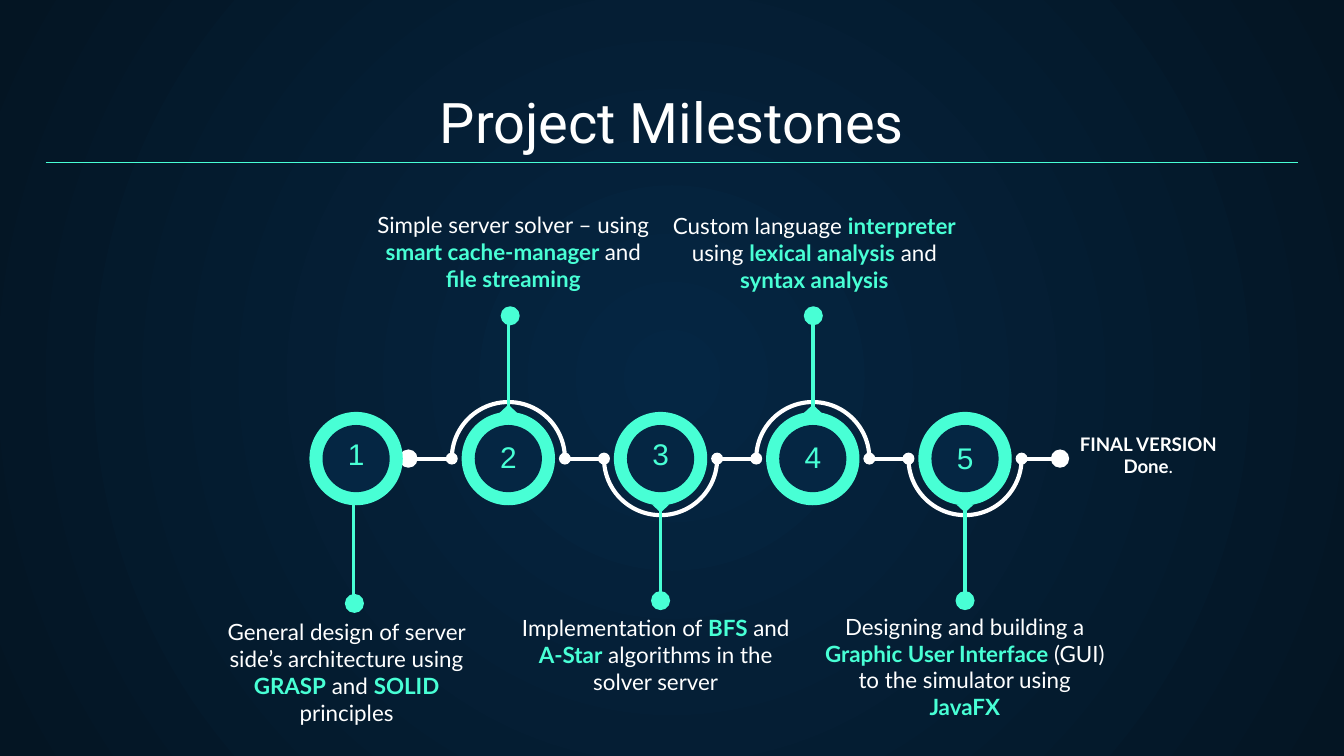
from dataclasses import dataclass
from typing import NamedTuple

from lxml import etree
from pptx import Presentation
from pptx.dml.color import RGBColor
from pptx.enum import shapes, text
from pptx.oxml import ns
from pptx.util import Pt

MINT, NAVY, EDGE, WHITE = "48FFD5", "052643", "041523", "FFFFFF"
KIND = shapes.MSO_SHAPE
MID = 245.7
FIRST, PITCH = 190.8, 81.55
RING, HOLE, ARC = 50, 36, 60.6
KNOB, DOT, END = 10.2, 6.4, 9.8
START, STOP = 218.8, 567.9


class Part(NamedTuple):
    text: str
    bold: bool = False
    hue: str = WHITE


class Box(NamedTuple):
    x: float
    y: float
    w: float
    h: float


@dataclass
class Step:
    label: str
    left: float
    top: float
    up: bool
    stem: float
    knob: float
    shift: float
    num: float


STEPS = [
    Step("General design of server side’s architecture using *GRASP* and *SOLID* principles",
         102.2, 324, False, -1.4, 323.3, -0.9, 227.5),
    Step("Simple server solver – using *smart cache-manager *and *file streaming*",
         191.5, 105.8, True, 0, 169.2, 1, 229),
    Step("Implementation of *BFS* and *A-Star* algorithms in the solver server",
         267.8, 321.8, False, 0, 321.8, 0, 227.5),
    Step("Custom language *interpreter* using *lexical analysis* and *syntax analysis*",
         352.8, 106.6, True, 0, 169.2, 0.3, 229),
    Step("Designing and building a *Graphic User Interface *(GUI) to the simulator using *JavaFX*",
         433.4, 321.1, False, 0, 321.8, 0, 229.7),
]


def tint(code: str) -> RGBColor:
    return RGBColor.from_string(code)


def shape(slide, kind, x: float, y: float, w: float, h: float, hue: str):
    item = slide.shapes.add_shape(kind, Pt(x - w / 2), Pt(y - h / 2), Pt(w), Pt(h))
    item.shadow.inherit = False
    item.fill.solid()
    item.fill.fore_color.rgb = tint(hue)
    item.line.fill.background()
    return item


def disc(slide, x: float, y: float, size: float, hue: str) -> None:
    shape(slide, KIND.OVAL, x, y, size, size, hue)


def line(slide, x: float, y: float, to_x: float, to_y: float, hue: str, width: float) -> None:
    item = slide.shapes.add_connector(
        shapes.MSO_CONNECTOR.STRAIGHT, Pt(x), Pt(y), Pt(to_x), Pt(to_y))
    item.line.color.rgb = tint(hue)
    item.line.width = Pt(width)
    etree.SubElement(item.element.spPr, ns.qn("a:effectLst"))


def arc(slide, x: float, up: bool) -> None:
    item = shape(slide, KIND.ARC, x, MID, ARC, ARC, WHITE)
    item.fill.background()
    item.line.color.rgb = tint(WHITE)
    item.line.width = Pt(2.2)
    half = 180 * 60000 / 100000
    item.adjustments[0], item.adjustments[1] = (half, 0) if up else (0, half)


def write(frame, parts: list[Part], size: float, face: str, anchor=text.MSO_ANCHOR.TOP) -> None:
    form = {"word_wrap": True, "auto_size": text.MSO_AUTO_SIZE.NONE, "vertical_anchor": anchor}
    form |= {f"margin_{side}": Pt(7.2) for side in ("left", "right", "top", "bottom")}
    for key, val in form.items():
        setattr(frame, key, val)
    para = frame.paragraphs[0]
    para.alignment = text.PP_ALIGN.CENTER
    for part in parts:
        if part.text == "\n":
            para.add_line_break()
            continue
        run = para.add_run()
        run.text = part.text
        for key, val in {"size": Pt(size), "name": face, "bold": part.bold}.items():
            setattr(run.font, key, val)
        run.font.color.rgb = tint(part.hue)


def note(slide, box: Box, parts: list[Part], size: float, face: str, **opts) -> None:
    item = slide.shapes.add_textbox(*map(Pt, box))
    write(item.text_frame, parts, size, face, **opts)


def split(label: str) -> list[Part]:
    return [Part(bit, i % 2 == 1, MINT if i % 2 else WHITE)
            for i, bit in enumerate(label.split("*")) if bit]


def paint(slide) -> None:
    fill = slide.background.fill
    fill.gradient()
    for stop, hue, pos in zip(fill.gradient_stops, (NAVY, EDGE), (0, 1)):
        stop.color.rgb = tint(hue)
        stop.position = pos
    old = slide.element.find(".//" + ns.qn("a:lin"))
    new = etree.Element(ns.qn("a:path"), {"path": "circle"})
    etree.SubElement(new, ns.qn("a:fillToRect"), dict.fromkeys("ltrb", "50000"))
    old.getparent().replace(old, new)


def track(slide, mids: list[float]) -> None:
    edge = START
    for x, step in zip(mids[1:], STEPS[1:]):
        line(slide, edge, MID, x - ARC / 2, MID, WHITE, 2.2)
        arc(slide, x, step.up)
        edge = x + ARC / 2
        for end in (x - ARC / 2, edge):
            disc(slide, end, MID, DOT, WHITE)
    line(slide, edge, MID, STOP, MID, WHITE, 2.2)
    for x in (START, STOP):
        disc(slide, x, MID, END, WHITE)


def mark(slide, num: int, x: float, step: Step) -> None:
    side = -1 if step.up else 1
    disc(slide, x, MID, RING, MINT)
    if num > 1:
        tip = shape(slide, KIND.ISOSCELES_TRIANGLE, x, MID + side * 26.7, 9.4, 4.4, MINT)
        tip.rotation = 0 if step.up else 180
    line(slide, x + step.stem, MID + side * 22, x + step.stem, step.knob, MINT, 1.95)
    disc(slide, x + step.shift, step.knob, KNOB, MINT)
    disc(slide, x, MID, HOLE, NAVY)
    note(slide, Box(x - 12, step.num, 24, 32.4), [Part(str(num), hue=MINT)], 16, "Arial",
         anchor=text.MSO_ANCHOR.BOTTOM)
    note(slide, Box(step.left, step.top, 167, 68.4), split(step.label), 12, "Lato")


def main() -> None:
    deck = Presentation()
    deck.slide_width, deck.slide_height = Pt(720), Pt(405)
    slide = deck.slides.add_slide(deck.slide_layouts[0])
    paint(slide)
    sub = slide.placeholders[1].element
    sub.getparent().remove(sub)
    title = slide.shapes.title
    spot = {"left": 24.5, "top": 42.5, "width": 671, "height": 47.5}
    for key, val in spot.items():
        setattr(title, key, Pt(val))
    write(title.text_frame, [Part("Project Milestones")], 30, "Roboto",
          text.MSO_ANCHOR.BOTTOM)
    line(slide, 24.5, 87, 695.5, 87, MINT, 0.75)
    mids = [FIRST + PITCH * i for i in range(len(STEPS))]
    track(slide, mids)
    for num, (x, step) in enumerate(zip(mids, STEPS), 1):
        mark(slide, num, x, step)
    last = [Part("FINAL VERSION", True), Part("\n"), Part("Done", True), Part(".")]
    note(slide, Box(565.2, 224.6, 100, 44), last, 10, "Lato")
    deck.save("out.pptx")


if __name__ == "__main__":
    main()
